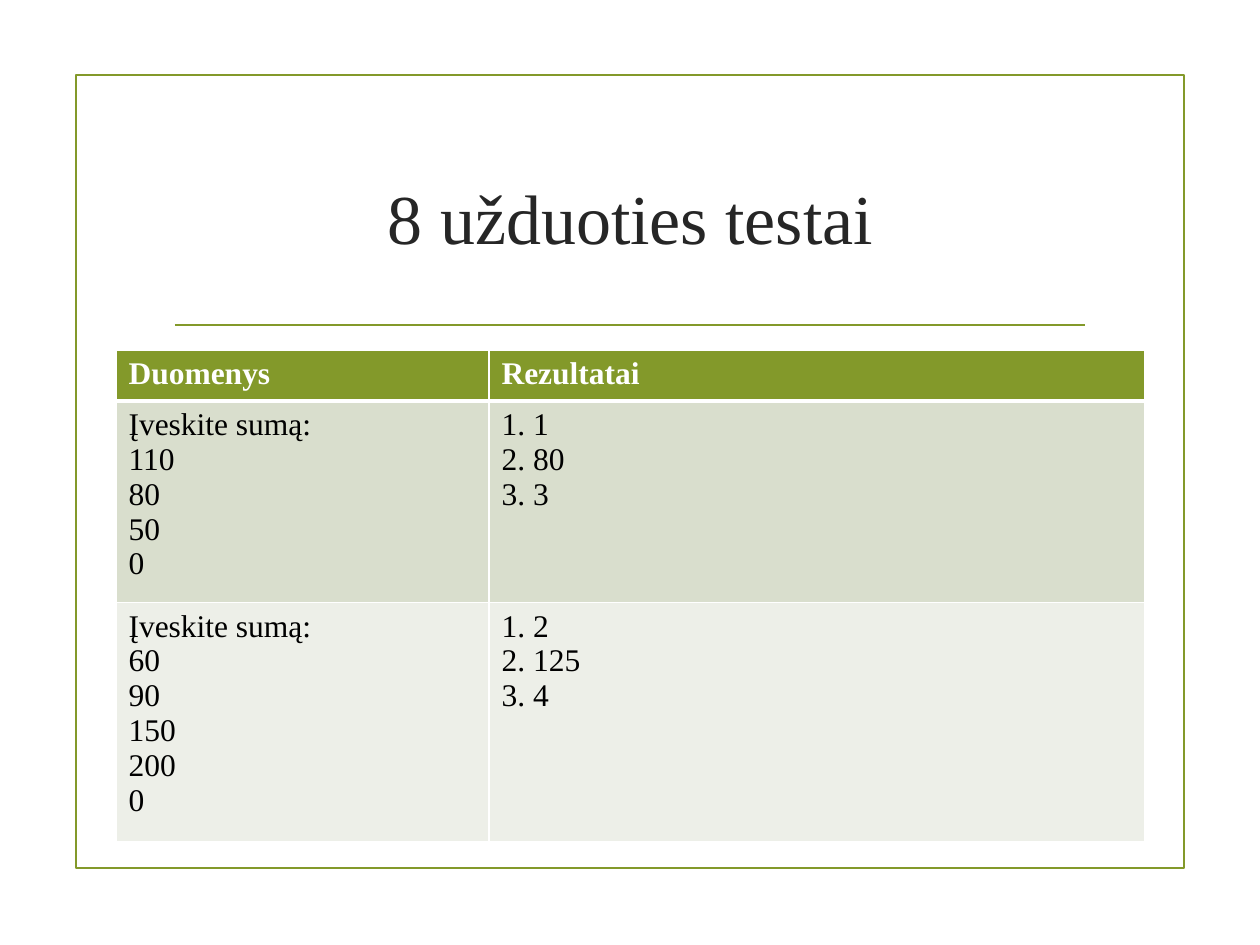
from lxml import etree
from pptx import Presentation
from pptx import util as u
from pptx.dml.color import RGBColor
from pptx.enum import shapes, text
from pptx.oxml import ns

PX = 914400 // 126  # EMU per px
FONT = "Times New Roman"
GREEN = RGBColor(0x83, 0x99, 0x2A)
TITLE_INK = RGBColor(0x26, 0x26, 0x26)
BLACK = RGBColor(0, 0, 0)
WHITE = RGBColor(255, 255, 255)
BAND_DARK = RGBColor(0xD9, 0xDE, 0xCD)
BAND_LIGHT = RGBColor(0xED, 0xEF, 0xE8)

# Column texts, fill, ink and height of each row
TEST_ROWS = [
    ((["Duomenys"], ["Rezultatai"]), GREEN, WHITE, 51),
    ((["Įveskite sumą:", "110", "80", "50", "0"],
      ["1. 1", "2. 80", "3. 3"]), BAND_DARK, BLACK, 187),
    ((["Įveskite sumą:", "60", "90", "150", "200", "0"],
      ["1. 2", "2. 125", "3. 4"]), BAND_LIGHT, BLACK, 221),
]
COLUMN_WIDTHS = (373, 656)


def px(*lengths):
    return [u.Emu(length * PX) for length in lengths]


def write_lines(frame, lines, size, ink, bold=False):
    for i, line in enumerate(lines):
        paragraph = frame.paragraphs[0] if i == 0 else frame.add_paragraph()
        run = paragraph.add_run()
        run.text = line
        run.font.name = FONT
        run.font.size = u.Pt(size)
        run.font.bold = bold
        run.font.color.rgb = ink


def set_borders(cell, widths):
    """Give the cell white borders; widths maps a side to points."""
    properties = cell._tc.get_or_add_tcPr()
    for i, (side, width) in enumerate(widths.items()):
        border = etree.Element(ns.qn(f"a:ln{side}"), w=str(u.Pt(width)))
        fill = etree.SubElement(border, ns.qn("a:solidFill"))
        etree.SubElement(fill, ns.qn("a:srgbClr"), val=str(WHITE))
        properties.insert(i, border)


def add_frame(slide, left, top, width, height):
    # Border around the slide content
    border = slide.shapes.add_shape(
        shapes.MSO_SHAPE.RECTANGLE, *px(left, top, width, height))
    border.shadow.inherit = False
    border.fill.background()
    border.line.color.rgb = GREEN
    border.line.width = u.Pt(1.25)

    # Rule between the title and the table
    rule_y = top + 250
    rule = slide.shapes.add_connector(
        shapes.MSO_CONNECTOR.STRAIGHT,
        *px(left + 99, rule_y, left + width - 99, rule_y))
    rule.line.color.rgb = GREEN
    rule.line.width = u.Pt(1.25)
    etree.SubElement(rule._element.spPr, ns.qn("a:effectLst"))


def add_title(slide, left, top, width, height):
    title = slide.shapes.add_textbox(*px(left, top, width, height)).text_frame
    title.word_wrap = True
    title.vertical_anchor = text.MSO_ANCHOR.MIDDLE
    write_lines(title, ["8 užduoties testai"], 40, TITLE_INK)
    title.paragraphs[0].alignment = text.PP_ALIGN.CENTER


def add_tests(slide, left, top):
    width = sum(COLUMN_WIDTHS)
    height = sum(row[-1] for row in TEST_ROWS)
    tests = slide.shapes.add_table(
        len(TEST_ROWS), len(COLUMN_WIDTHS), *px(left, top, width, height)).table
    for column, column_width in zip(tests.columns, px(*COLUMN_WIDTHS)):
        column.width = column_width
    for r, (columns, fill, ink, row_height) in enumerate(TEST_ROWS):
        tests.rows[r].height = px(row_height)[0]
        for c, lines in enumerate(columns):
            cell = tests.cell(r, c)
            cell.fill.solid()
            cell.fill.fore_color.rgb = fill
            write_lines(cell.text_frame, lines, 18, ink, bold=r == 0)
            set_borders(cell, {"L": 1, "R": 1, "T": 3 if r == 1 else 1,
                               "B": 3 if r == 0 else 1})


def main():
    deck = Presentation()
    deck.slide_width, deck.slide_height = px(1260, 945)
    slide = deck.slides.add_slide(deck.slide_layouts[6])
    add_frame(slide, 76, 75, 1108, 793)
    add_title(slide, 162, 126, 937, 180)
    add_tests(slide, 116, 350)
    deck.save("out.pptx")


if __name__ == "__main__":
    main()
